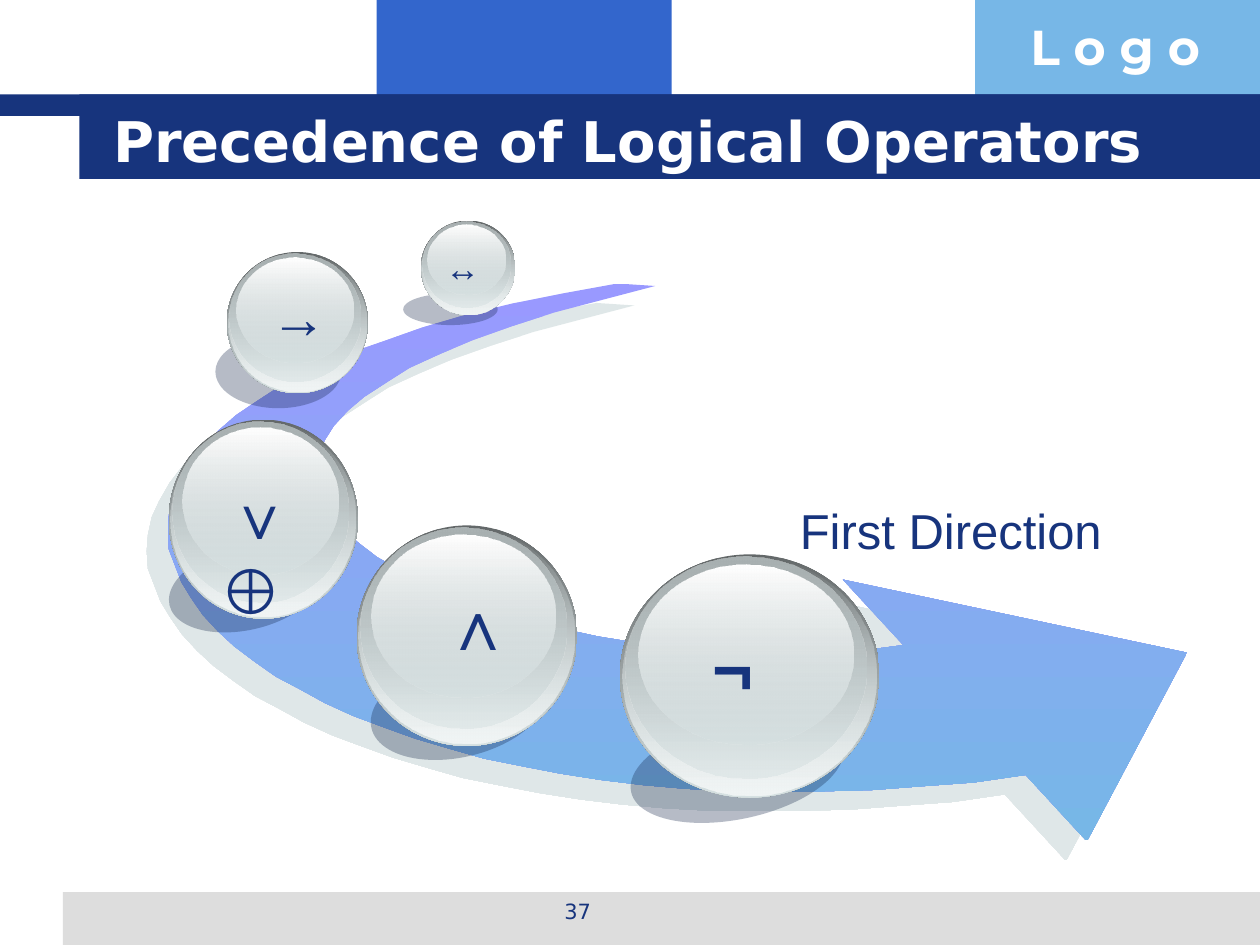
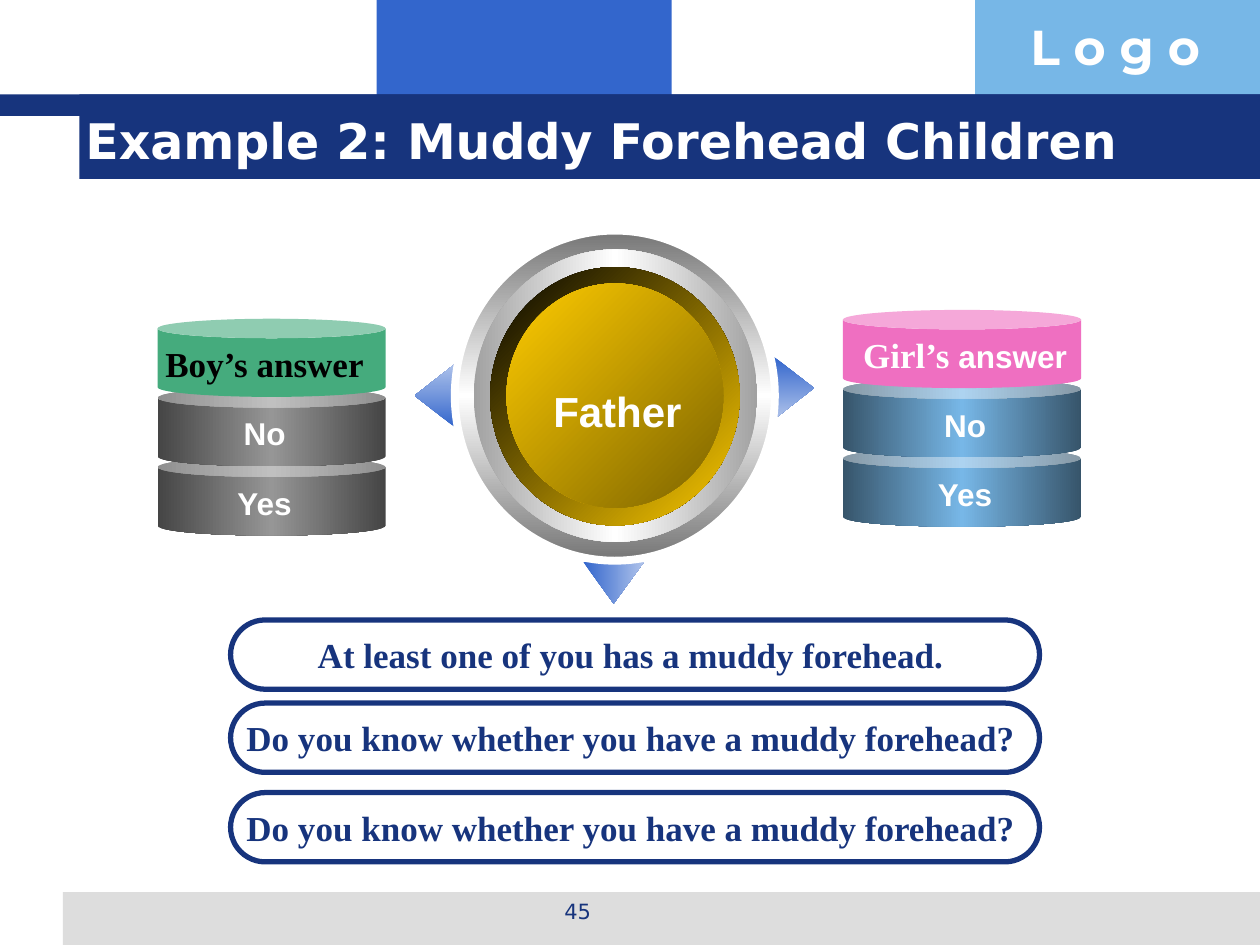
"""Build two logic slides: operator precedence and the muddy children puzzle."""
from dataclasses import dataclass

from pptx import Presentation
from pptx import util as u
from pptx.dml.color import RGBColor
from pptx.enum import shapes, text
from pptx.oxml import parse_xml
from pptx.oxml.ns import nsdecls, qn

Inches = u.Inches
Preset = shapes.MSO_SHAPE


@dataclass(frozen=True)
class Theme:
    """Hold the shared colours, fonts and type sizes."""
    navy: str = "17347D"
    blue: str = "3366CC"
    sky: str = "77B7E7"
    grey: str = "DDDDDD"
    white: str = "FFFFFF"
    black: str = "000000"
    lilac: str = "9999FF"
    pale_blue: str = "AFC3EB"
    shade: str = "0F2145"
    glass: str = "D6E1E2"
    arrow_shadow: str = "C1D1D3"
    gold: str = "FFCC00"
    green: str = "45AB7D"
    pink: str = "EF6FC1"
    heading: str = "DejaVu Sans"
    logo: str = "Montserrat"
    sans: str = "Arial"
    serif: str = "Times New Roman"
    small: int = 12
    label: int = 18
    body: int = 20
    father: int = 24
    large: int = 28


THEME = Theme()

BANDS = [
    ((2.99, 0, 2.34, 0.92), THEME.blue),
    ((7.74, 0, 2.26, 0.92), THEME.sky),
    ((0.5, 7.08, 9.5, 0.42), THEME.grey),
    ((0, 0.75, 10, 0.17), THEME.navy),
    ((0.63, 0.75, 9.37, 0.67), THEME.navy),
]

ARROW_OUTLINE = [
    (4.9, 2.25), (4.46, 2.33), (4.06, 2.41), (3.69, 2.5), (3.35, 2.6), (3.04, 2.71),
    (2.75, 2.81), (2.5, 2.93), (2.26, 3.04), (2.06, 3.17), (1.88, 3.29), (1.73, 3.42),
    (1.61, 3.55), (1.51, 3.68), (1.43, 3.82), (1.37, 3.95), (1.34, 4.09), (1.33, 4.22),
    (1.34, 4.36), (1.39, 4.49), (1.44, 4.62), (1.52, 4.75), (1.61, 4.88), (1.73, 5.01),
    (1.86, 5.13), (2.02, 5.25), (2.19, 5.37), (2.38, 5.47), (2.58, 5.58), (2.8, 5.68),
    (3.04, 5.77), (3.29, 5.86), (3.56, 5.94), (3.84, 6.02), (4.14, 6.08), (4.45, 6.14),
    (4.77, 6.19), (5.1, 6.23), (5.44, 6.26), (5.8, 6.28), (6.17, 6.28), (6.54, 6.28),
    (6.93, 6.27), (7.32, 6.24), (7.73, 6.21), (8.14, 6.15), (8.62, 6.67), (8.63, 6.67),
    (9.42, 5.18), (6.69, 4.6), (7.17, 5.12), (6.94, 5.15), (6.7, 5.17), (6.46, 5.19),
    (6.21, 5.19), (5.97, 5.18), (5.71, 5.17), (5.47, 5.15), (5.22, 5.12), (4.98, 5.09),
    (4.74, 5.05), (4.51, 5), (4.28, 4.94), (4.06, 4.88), (3.86, 4.82), (3.66, 4.75),
    (3.47, 4.67), (3.29, 4.59), (3.13, 4.5), (2.99, 4.42), (2.86, 4.32), (2.75, 4.23),
    (2.66, 4.13), (2.59, 4.02), (2.54, 3.92), (2.51, 3.82), (2.51, 3.71), (2.53, 3.6),
    (2.58, 3.49), (2.65, 3.38), (2.76, 3.26), (2.89, 3.15), (3.06, 3.04), (3.25, 2.92),
    (3.49, 2.81), (3.75, 2.7), (4.06, 2.59), (4.4, 2.48), (4.78, 2.38), (5.2, 2.27),
]

SPHERES = [
    {"symbol": ["¬ "], "size": 40, "ball": (4.92, 4.4, 2.06, 1.93),
     "shadow": (4.99, 5.71, 1.72, 0.79), "tilt": 347.9, "label": (5.54, 4.91, 0.71, 0.77)},
    {"symbol": ["∨", "⊕ "], "size": 36, "ball": (1.34, 3.33, 1.5, 1.58),
     "shadow": (1.33, 4.33, 1.24, 0.67), "tilt": 347.1, "label": (1.54, 3.73, 1.05, 0.77)},
    {"symbol": ["→ "], "size": 32, "ball": (1.8, 2, 1.12, 1.12),
     "shadow": (1.71, 2.66, 1, 0.58), "tilt": 0, "label": (2.03, 2.19, 0.68, 0.64)},
    {"symbol": ["↔ "], "size": 20, "ball": (3.34, 1.75, 0.75, 0.75),
     "shadow": (3.2, 2.33, 0.75, 0.25), "tilt": 0, "label": (3.43, 1.91, 0.56, 0.44)},
    {"symbol": ["∧ "], "size": 40, "ball": (2.83, 4.17, 1.75, 1.75),
     "shadow": (2.93, 5.23, 1.42, 0.78), "tilt": 347.1, "label": (3.42, 4.56, 0.54, 0.77)},
]

GLASS_LAYERS = [
    ((0, 0, 1, 1), [("636869", 100), (THEME.glass, 100)]),
    ((0.01, 0.01, 0.98, 0.98), [(THEME.glass, 0), ("F1F5F5", 100)]),
    ((0.02, 0.01, 0.93, 0.91), [("AAB2B3", 100), (THEME.glass, 48)]),
    ((0.07, 0.04, 0.83, 0.74), [(THEME.white, 100), (THEME.glass, 38)]),
]

POINTERS = [
    ((3.2, 2.98, 0.5, 0.32), 270),
    ((6.05, 2.92, 0.5, 0.32), 90),
    ((4.63, 4.46, 0.48, 0.33), 180),
]

DIAL_RINGS = [
    ((3.61, 1.83, 2.54, 2.62), ["767676", THEME.white, "767676"], 90),
    ((3.76, 1.98, 2.25, 2.32), ["A2A2A2", THEME.white, "A2A2A2"], 0),
    ((3.89, 2.12, 1.98, 2.05), [THEME.black, THEME.gold], 45),
    ((4.02, 2.25, 1.72, 1.78), [THEME.gold, "7C6300"], 45),
]

ANSWER_STACKS = [
    {"left": 1.25, "top": 2.53, "width": 1.81, "label_center": 2.1,
     "lid": THEME.green, "sides": ["454545", "969696", "454545"],
     "heading": ("Boy’s answer",), "heading_color": THEME.black},
    {"left": 6.69, "top": 2.46, "width": 1.89, "label_center": 7.66,
     "lid": THEME.pink, "sides": ["37556B", THEME.sky, "37556B"],
     "heading": ("Girl’s", " answer"), "heading_color": THEME.white},
]
ANSWERS = ["No", "Yes"]
CAN_STEP = 0.55
LABEL_WIDTH = 2.4

STATEMENTS = [
    (4.92, "At least one of you has a muddy forehead. "),
    (5.58, "Do you know whether you have a muddy forehead? "),
    (6.29, "Do you know whether you have a muddy forehead? "),
]


def paint(shape, colors, angle=0):
    """Fill a shape with one colour or an even gradient of (colour, opacity) stops."""
    stops = [(c, 100) if isinstance(c, str) else c for c in colors]
    color_xml = [f'<a:srgbClr val="{c}"><a:alpha val="{opacity * 1000}"/></a:srgbClr>'
                 if opacity < 100 else f'<a:srgbClr val="{c}"/>' for c, opacity in stops]
    if len(stops) == 1:
        xml = f'<a:solidFill {nsdecls("a")}>{color_xml[0]}</a:solidFill>'
    else:
        span = 100000 // (len(stops) - 1)
        listed = "".join(f'<a:gs pos="{i * span}">{c}</a:gs>' for i, c in enumerate(color_xml))
        xml = (f'<a:gradFill {nsdecls("a")} rotWithShape="0"><a:gsLst>{listed}</a:gsLst>'
               f'<a:lin ang="{angle * 60000}" scaled="0"/></a:gradFill>')
    shape.fill.background()
    properties = shape.element.spPr
    properties.replace(properties.find(qn("a:noFill")), parse_xml(xml))


def add_preset(slide, preset, box, colors, angle=0, outline=None):
    """Add a filled preset shape; outline is (colour, points)."""
    shape = slide.shapes.add_shape(preset, *map(Inches, box))
    shape.shadow.inherit = False
    paint(shape, colors, angle)
    if outline:
        shape.line.color.rgb = RGBColor.from_string(outline[0])
        shape.line.width = u.Pt(outline[1])
    else:
        shape.line.fill.background()
    return shape


def style(font, name, size):
    """Set the face and size of a font."""
    font.name = name
    font.size = u.Pt(size)


def write(shape, lines, name, size, color, bold=False, centered=True, wrap=False, middle=False):
    """Write paragraphs, each a string or a tuple whose later parts use the label font."""
    frame = shape.text_frame
    frame.word_wrap = wrap
    frame.vertical_anchor = text.MSO_ANCHOR.MIDDLE if middle else text.MSO_ANCHOR.TOP
    for index, line in enumerate(lines):
        paragraph = frame.add_paragraph() if index else frame.paragraphs[0]
        paragraph.alignment = text.PP_ALIGN.CENTER if centered else text.PP_ALIGN.LEFT
        style(paragraph.font, name, size)
        paragraph.font.bold = bold
        paragraph.font.color.rgb = RGBColor.from_string(color)
        for part, wording in enumerate((line,) if isinstance(line, str) else line):
            run = paragraph.add_run()
            run.text = wording
            if part:
                style(run.font, THEME.sans, THEME.label)


def add_text(slide, box, lines, name, size, color, **options):
    """Add a text box."""
    write(slide.shapes.add_textbox(*map(Inches, box)), lines, name, size, color, **options)


def add_framed_slide(presentation, title, title_box, title_size, number):
    """Add a slide with the shared bands, logo word, page number and title."""
    slide = presentation.slides.add_slide(presentation.slide_layouts[6])
    for box, color in BANDS:
        add_preset(slide, Preset.RECTANGLE, box, [color])
    add_text(slide, (8.08, 0.08, 1.93, 0.57), ["L o g o"], THEME.logo, THEME.large,
             THEME.white, bold=True, centered=False, wrap=True)
    add_text(slide, (3.42, 7.08, 2.33, 0.35), [str(number)], THEME.heading, THEME.small,
             THEME.navy, wrap=True)
    add_text(slide, title_box, [title], THEME.heading, title_size, THEME.white,
             bold=True, centered=False, wrap=True, middle=True)
    return slide


def add_curved_arrow(slide):
    """Draw the sweeping arrow with its offset shadow."""
    start, *corners = [(Inches(x), Inches(y)) for x, y in ARROW_OUTLINE]
    builder = slide.shapes.build_freeform(*start)
    builder.add_line_segments(corners, close=True)
    arrow = builder.convert_to_shape()
    paint(arrow, [THEME.lilac, THEME.sky], 90)
    arrow.line.fill.background()
    arrow.element.spPr.append(parse_xml(
        f'<a:effectLst {nsdecls("a")}><a:outerShdw blurRad="0" dist="{u.Pt(16.3)}" '
        f'dir="{137 * 60000}" algn="ctr" rotWithShape="0"><a:srgbClr val="{THEME.arrow_shadow}">'
        '<a:alpha val="50000"/></a:srgbClr></a:outerShdw></a:effectLst>'))


def add_sphere(slide, sphere):
    """Stack the glass layers over a shadow and write the operator."""
    shadow = add_preset(slide, Preset.OVAL, sphere["shadow"], [(THEME.shade, 30)])
    shadow.rotation = sphere["tilt"]
    left, top, width, height = sphere["ball"]
    for (dx, dy, across, down), colors in GLASS_LAYERS:
        box = (left + dx * width, top + dy * height, across * width, down * height)
        add_preset(slide, Preset.OVAL, box, colors, 90)
    add_text(slide, sphere["label"], sphere["symbol"], THEME.sans, sphere["size"],
             THEME.navy, bold=True)


def add_dial(slide):
    """Draw the three pointers and the rings around the father."""
    for box, turn in POINTERS:
        pointer = add_preset(slide, Preset.UP_ARROW, box, [THEME.blue, THEME.pale_blue], turn)
        pointer.adjustments[0], pointer.adjustments[1] = 0.517, 1
        pointer.rotation = turn
        pointer.element.spPr.xfrm.set("flipH", "1")
    for index, (box, colors, angle) in enumerate(DIAL_RINGS):
        add_preset(slide, Preset.OVAL, box, colors, angle,
                   outline=None if index else (THEME.white, 4.5))
    add_text(slide, (4.29, 3.01, 1.22, 0.5), ["Father"], THEME.sans, THEME.father,
             THEME.white, bold=True)


def add_answer_stack(slide, stack):
    """Stack the cans from the bottom up and label them."""
    tops = [stack["top"] + CAN_STEP * level for level in range(len(ANSWERS) + 1)]
    for level, top in reversed(list(enumerate(tops))):
        add_preset(slide, Preset.CAN, (stack["left"], top, stack["width"], 0.62),
                   stack["sides"] if level else [stack["lid"]])
    label_left = stack["label_center"] - LABEL_WIDTH / 2
    add_text(slide, (label_left, tops[0] + 0.14, LABEL_WIDTH, 0.44), [stack["heading"]],
             THEME.serif, THEME.body, stack["heading_color"], bold=True)
    for top, answer in zip(tops[1:], ANSWERS):
        add_text(slide, (label_left, top + 0.16, LABEL_WIDTH, 0.4), [answer],
                 THEME.sans, THEME.label, THEME.white, bold=True)


def main():
    """Build and save both slides."""
    presentation = Presentation()
    presentation.slide_width, presentation.slide_height = Inches(10), Inches(7.5)

    slide = add_framed_slide(presentation, "Precedence of Logical Operators",
                             (0.8, 0.8, 8.53, 0.62), 32, 37)
    add_curved_arrow(slide)
    add_text(slide, (6.25, 3.92, 2.92, 0.57), ["First Direction"], THEME.sans, THEME.large,
             THEME.navy, centered=False, wrap=True)
    for sphere in SPHERES:
        add_sphere(slide, sphere)

    slide = add_framed_slide(presentation, "Example 2: Muddy Forehead Children",
                             (0.58, 0.8, 8.67, 0.62), THEME.large, 45)
    add_dial(slide)
    for stack in ANSWER_STACKS:
        add_answer_stack(slide, stack)
    for top, statement in STATEMENTS:
        pill = add_preset(slide, Preset.ROUNDED_RECTANGLE, (1.83, top, 6.42, 0.55),
                          [THEME.white], outline=(THEME.navy, 3))
        pill.adjustments[0] = 0.5
        write(pill, [statement], THEME.serif, THEME.body, THEME.navy, bold=True, middle=True)

    presentation.save("out.pptx")


if __name__ == "__main__":
    main()
